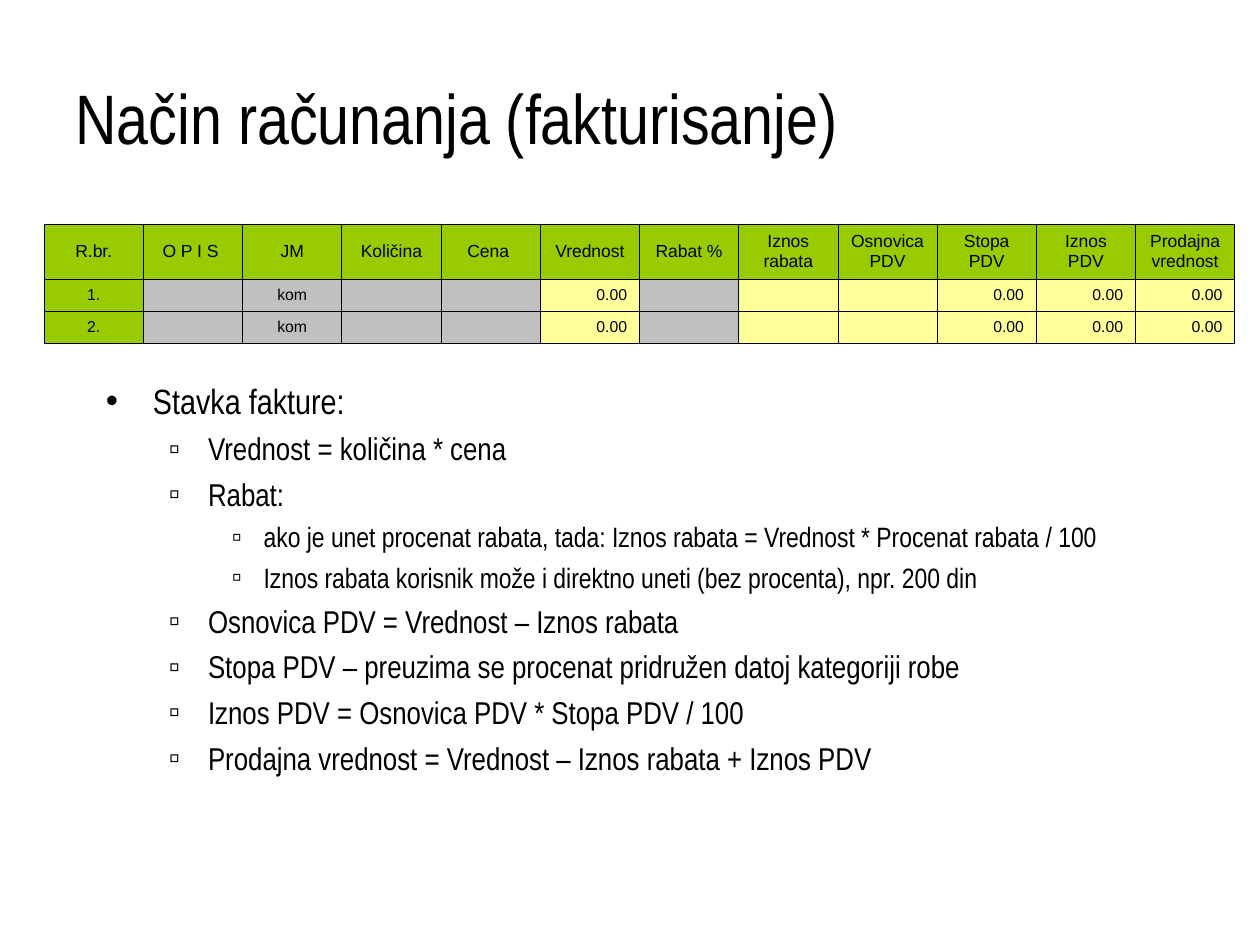
from lxml import etree
from pptx import Presentation
from pptx.dml.color import RGBColor
from pptx.enum import text
from pptx.oxml import ns
from pptx.util import Cm, Pt

BLACK, GREEN, GREY, YELLOW = "000000", "99CC00", "C0C0C0", "FFFF99"
HEADERS = ["R.br.", "O P I S ", "JM", "Količina", "Cena ", "Vrednost", "Rabat %",
           "Iznos rabata", "Osnovica PDV", "Stopa PDV", "Iznos PDV", "Prodajna vrednost"]
ITEM_FILLS = [GREEN] + [GREY] * 4 + [YELLOW, GREY] + [YELLOW] * 5
AMOUNT_COLUMNS = {5, 9, 10, 11}
ROW_HEIGHTS = [1.11, 0.64, 0.64]
COLUMN_WIDTH = 2
LEVELS = [
    {"size": 20, "before": 5, "margin": 0.95, "hanging": 0.95, "bullet": "•"},
    {"size": 18, "before": 4.5, "margin": 2.06, "hanging": 0.79, "bullet": "▫"},
    {"size": 16, "before": 4, "margin": 3.18, "hanging": 0.64, "bullet": "▫"},
]
RULES = [
    (0, "Stavka fakture:"),
    (1, "Vrednost = količina * cena"),
    (1, "Rabat:"),
    (2, "ako je unet procenat rabata, tada: Iznos rabata = Vrednost * Procenat rabata / 100"),
    (2, "Iznos rabata korisnik može i direktno uneti (bez procenta), npr. 200 din"),
    (1, "Osnovica PDV = Vrednost – Iznos rabata"),
    (1, "Stopa PDV – preuzima se procenat pridružen datoj kategoriji robe"),
    (1, "Iznos PDV = Osnovica PDV * Stopa PDV / 100"),
    (1, "Prodajna vrednost = Vrednost – Iznos rabata + Iznos PDV"),
]


def color(value):
    return RGBColor.from_string(value)


def set_all(target, values):
    for name, value in values.items():
        setattr(target, name, value)


def add_xml(parent, tag, **attributes):
    return etree.SubElement(parent, ns.qn(tag), attributes)


def add_span(para, words, size, font):
    span = para.add_run()
    span.text = words
    set_all(span.font, {"size": Pt(size), "name": font})
    span.font.color.rgb = color(BLACK)


def place(box, left, top, width, height, anchor):
    set_all(box, {"left": Cm(left), "top": Cm(top), "width": Cm(width), "height": Cm(height)})
    set_all(box.text_frame, {"word_wrap": True, "vertical_anchor": anchor,
                             "auto_size": text.MSO_AUTO_SIZE.NONE})


def fill_title(box):
    place(box, 1.27, 0.76, 22.86, 3.18, text.MSO_ANCHOR.MIDDLE)
    para = box.text_frame.paragraphs[0]
    para.alignment = text.PP_ALIGN.LEFT
    add_span(para, "Način računanja (fakturisanje)", 40, "Arial Narrow")


def add_bullet(para, level):
    properties = para._p.get_or_add_pPr()
    properties.set("marL", str(Cm(level["margin"])))
    properties.set("indent", str(-Cm(level["hanging"])))
    add_xml(add_xml(properties, "a:buClr"), "a:srgbClr", val=BLACK)
    add_xml(properties, "a:buFont", typeface="Arial")
    add_xml(properties, "a:buChar", char=level["bullet"])


def fill_rules(box):
    place(box, 1.88, 7.52, 22.86, 8.61, text.MSO_ANCHOR.TOP)
    frame = box.text_frame
    for index, (depth, words) in enumerate(RULES):
        para = frame.add_paragraph() if index else frame.paragraphs[0]
        level = LEVELS[depth]
        add_bullet(para, level)
        set_all(para, {"level": depth, "alignment": text.PP_ALIGN.LEFT,
                       "space_before": Pt(level["before"] if index else 0)})
        add_span(para, words, level["size"], "Arial Narrow")


def add_borders(cell):
    properties = cell._tc.get_or_add_tcPr()
    for position, side in enumerate(("a:lnL", "a:lnR", "a:lnT", "a:lnB")):
        line = etree.Element(ns.qn(side), w=str(Pt(0.45)))
        add_xml(add_xml(line, "a:solidFill"), "a:srgbClr", val=BLACK)
        properties.insert(position, line)


def fill_cell(cell, words, size, fill, alignment):
    cell.fill.solid()
    cell.fill.fore_color.rgb = color(fill)
    add_borders(cell)
    set_all(cell, {"vertical_anchor": text.MSO_ANCHOR.MIDDLE,
                   "margin_left": Cm(0.25), "margin_right": Cm(0.25),
                   "margin_top": Cm(0.13), "margin_bottom": Cm(0.13)})
    para = cell.text_frame.paragraphs[0]
    para.alignment = alignment
    if words:
        add_span(para, words, size, "Arial")
    else:
        add_xml(para._p, "a:endParaRPr", sz=str(size * 100))


def item_words(number):
    words = {0: f"{number}.", 2: "kom"} | dict.fromkeys(AMOUNT_COLUMNS, "0.00")
    return [words.get(column, "") for column in range(len(HEADERS))]


def add_invoice(page):
    columns = len(HEADERS)
    table = page.shapes.add_table(len(ROW_HEIGHTS), columns, Cm(0.89), Cm(4.52),
                                  Cm(COLUMN_WIDTH * columns), Cm(sum(ROW_HEIGHTS))).table
    set_all(table, {"first_row": False, "horz_banding": False})
    for column in table.columns:
        column.width = Cm(COLUMN_WIDTH)
    for number, height in enumerate(ROW_HEIGHTS):
        table.rows[number].height = Cm(height)
        words = item_words(number) if number else HEADERS
        fills = ITEM_FILLS if number else [GREEN] * columns
        for column in range(columns):
            amount = number and column in AMOUNT_COLUMNS
            alignment = text.PP_ALIGN.RIGHT if amount else text.PP_ALIGN.CENTER
            fill_cell(table.cell(number, column), words[column], 9 if number else 10,
                      fills[column], alignment)


def main():
    deck = Presentation()
    set_all(deck, {"slide_width": Cm(25.4), "slide_height": Cm(19.05)})
    page = deck.slides.add_slide(deck.slide_layouts[1])
    fill_title(page.shapes.title)
    add_invoice(page)
    fill_rules(page.placeholders[1])
    deck.save("out.pptx")


if __name__ == "__main__":
    main()
